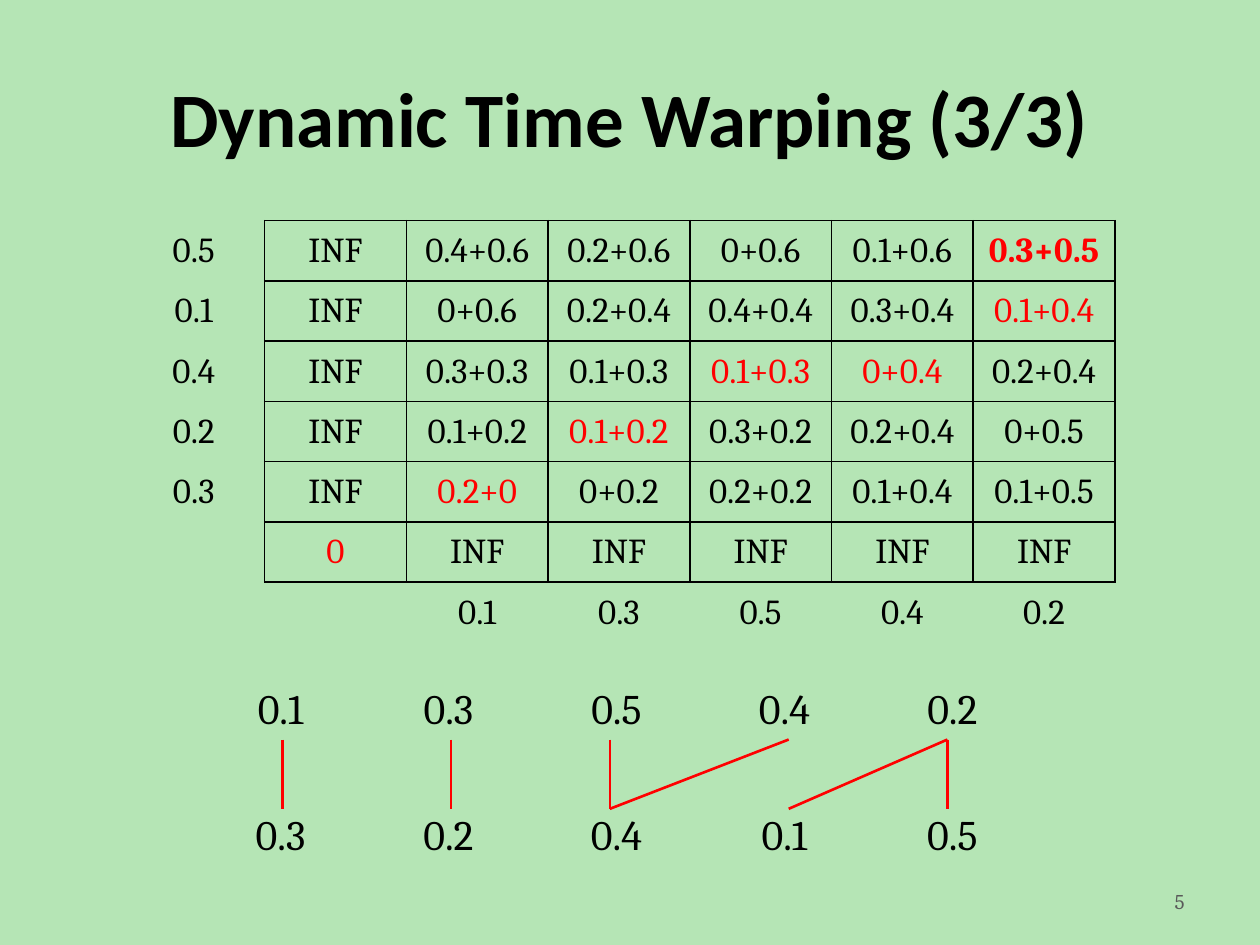
"""Build the Dynamic Time Warping slide with its cost matrix and alignment."""
import lxml.etree
import pptx
import pptx.dml.color
import pptx.enum.shapes
import pptx.enum.text
import pptx.oxml.ns
import pptx.util

Pt = pptx.util.Pt
RGBColor = pptx.dml.color.RGBColor
ALIGN = pptx.enum.text.PP_ALIGN
MIDDLE = pptx.enum.text.MSO_ANCHOR.MIDDLE
qn = pptx.oxml.ns.qn

BLACK = RGBColor(0x00, 0x00, 0x00)
RED = RGBColor(0xFF, 0x00, 0x00)
GRAY = RGBColor(0x59, 0x59, 0x59)
GREEN = RGBColor(0xB5, 0xE5, 0xB5)
PLAIN_STYLE = "{2D5ABB26-0587-4C30-8999-92F81FD0307C}"

COSTS = [
    ["0.5", "INF", "0.4+0.6", "0.2+0.6", "0+0.6", "0.1+0.6", "0.3+0.5"],
    ["0.1", "INF", "0+0.6", "0.2+0.4", "0.4+0.4", "0.3+0.4", "0.1+0.4"],
    ["0.4", "INF", "0.3+0.3", "0.1+0.3", "0.1+0.3", "0+0.4", "0.2+0.4"],
    ["0.2", "INF", "0.1+0.2", "0.1+0.2", "0.3+0.2", "0.2+0.4", "0+0.5"],
    ["0.3", "INF", "0.2+0", "0+0.2", "0.2+0.2", "0.1+0.4", "0.1+0.5"],
    ["", "0", "INF", "INF", "INF", "INF", "INF"],
    ["", "", "0.1", "0.3", "0.5", "0.4", "0.2"],
]
WARPING = {(5, 1), (4, 2), (3, 3), (2, 4), (2, 5), (1, 6), (0, 6)}
GOAL = (0, 6)
SERIES = [
    ["0.1", "0.3", "0.5", "0.4", "0.2"],
    ["", "", "", "", ""],
    ["0.3", "0.2", "0.4", "0.1", "0.5"],
]
LINK_X = [161.3, 257.8, 348.5, 450.7, 541.4]
LINK_TOP, LINK_BOTTOM = 422.6, 462.2
LINKS = [(0, 0), (1, 1), (2, 2), (3, 2), (4, 3), (4, 4)]
EDGES = {"a:lnL": (0, -1), "a:lnR": (0, 1), "a:lnT": (-1, 0), "a:lnB": (1, 0)}


def write(frame, text, size, font="Cambria", color=BLACK, bold=False, align=ALIGN.CENTER):
    """Put one formatted paragraph in a text frame."""
    para = frame.paragraphs[0]
    para.alignment = align
    para.font.size = Pt(size)
    if text:
        span = para.add_run()
        span.text = text
        span.font.name = font
        span.font.size = Pt(size)
        span.font.bold = bold
        span.font.color.rgb = color


def add_label(page, bounds, text, **style):
    """Add a vertically centred text box."""
    box = page.shapes.add_textbox(*map(Pt, bounds))
    box.text_frame.word_wrap = True
    box.text_frame.vertical_anchor = MIDDLE
    write(box.text_frame, text, **style)


def add_grid(page, rows, left, top, column_width, row_height):
    """Add an unstyled table with equal rows and columns."""
    count, width = len(rows), len(rows[0])
    table = page.shapes.add_table(
        count, width, Pt(left), Pt(top), Pt(column_width * width), Pt(row_height * count)
    ).table
    table.first_row = table.horz_banding = False
    table._tbl.tblPr.find(qn("a:tableStyleId")).text = PLAIN_STYLE
    for column in table.columns:
        column.width = Pt(column_width)
    for row in table.rows:
        row.height = Pt(row_height)
    return table


def in_matrix(row, column):
    """Tell whether a cell lies inside the bordered matrix."""
    return 0 <= row <= 5 and 1 <= column <= 6


def add_borders(cell, row, column):
    """Draw each edge that touches the matrix."""
    properties = cell._tc.get_or_add_tcPr()
    for tag, (down, across) in EDGES.items():
        if in_matrix(row, column) or in_matrix(row + down, column + across):
            line = lxml.etree.SubElement(properties, qn(tag), w=str(Pt(1)))
            fill = lxml.etree.SubElement(line, qn("a:solidFill"))
            lxml.etree.SubElement(fill, qn("a:srgbClr"), val=str(BLACK))


def add_matrix(page):
    """Add the cost matrix with the warping path in red."""
    table = add_grid(page, COSTS, 70.2, 126, 81, 34.45)
    for row, texts in enumerate(COSTS):
        for column, text in enumerate(texts):
            cell = table.cell(row, column)
            cell.margin_left = cell.margin_right = cell.margin_top = Pt(0.75)
            cell.margin_bottom = 0
            cell.vertical_anchor = MIDDLE
            add_borders(cell, row, column)
            cell.fill.background()
            place = (row, column)
            write(cell.text_frame, text, 20, color=RED if place in WARPING else BLACK,
                  bold=place == GOAL)


def add_alignment(page):
    """Add the two series and the links between matched values."""
    table = add_grid(page, SERIES, 112.3, 388.8, 96, 35)
    for row, texts in enumerate(SERIES):
        for column, text in enumerate(texts):
            cell = table.cell(row, column)
            cell.fill.background()
            write(cell.text_frame, text, 24)
    for upper, lower in LINKS:
        link = page.shapes.add_connector(
            pptx.enum.shapes.MSO_CONNECTOR.STRAIGHT,
            Pt(LINK_X[upper]), Pt(LINK_TOP), Pt(LINK_X[lower]), Pt(LINK_BOTTOM))
        link.line.color.rgb = RED
        link.line.width = Pt(1.5)
        lxml.etree.SubElement(link._element.spPr, qn("a:effectLst"))


def main():
    """Build and save the deck."""
    deck = pptx.Presentation()
    deck.slide_width, deck.slide_height = Pt(720), Pt(540)
    page = deck.slides.add_slide(deck.slide_layouts[6])
    page.background.fill.solid()
    page.background.fill.fore_color.rgb = GREEN
    add_label(page, (36, 21.6, 648, 90), "Dynamic Time Warping (3/3)",
              size=44, font="Calibri", bold=True)
    add_label(page, (516, 500.5, 168, 28.75), "5", size=12, color=GRAY, align=ALIGN.RIGHT)
    add_matrix(page)
    add_alignment(page)
    deck.save("out.pptx")


if __name__ == "__main__":
    main()
